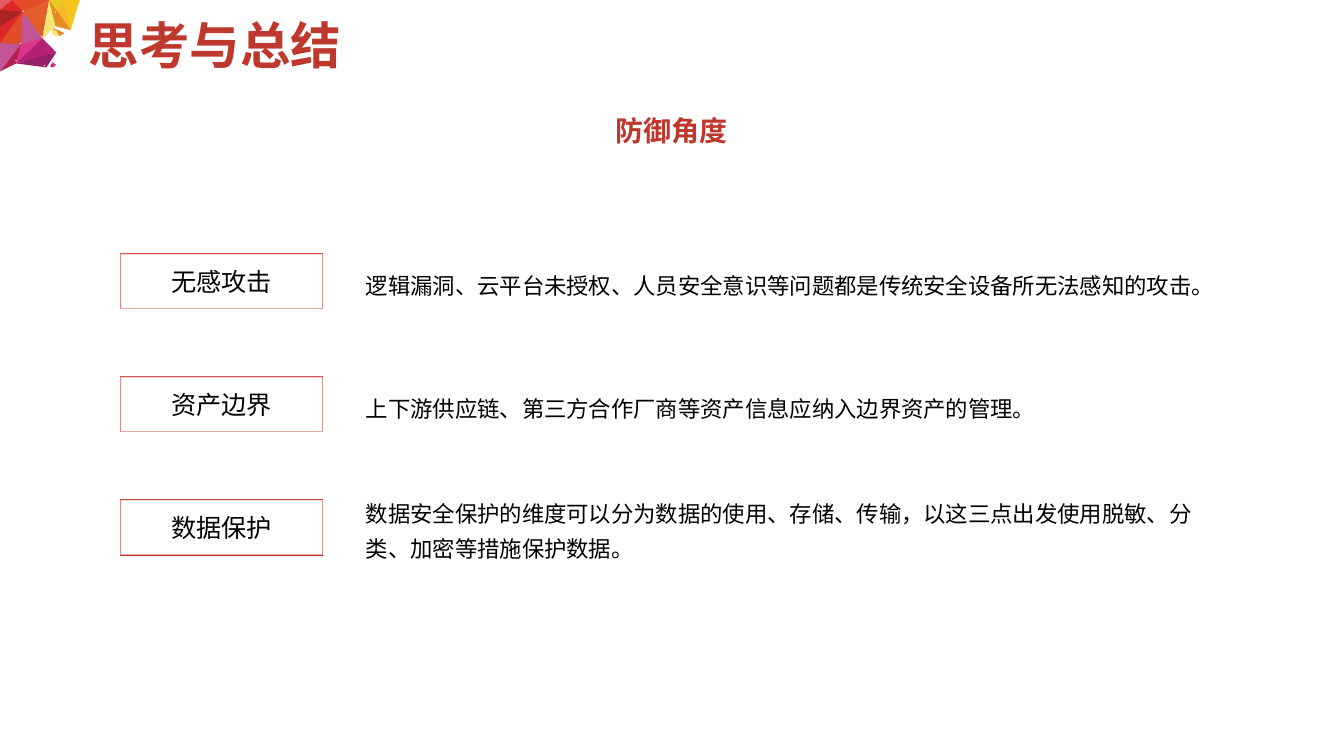
from pptx import Presentation
from pptx.dml.color import RGBColor
from pptx.enum.shapes import MSO_SHAPE as Preset
from pptx.enum.text import MSO_ANCHOR as Anchor, PP_ALIGN as Align
from pptx.oxml.ns import qn
from pptx.util import Cm, Pt
from lxml.etree import SubElement

FONT = "Noto Sans CJK SC"
RED = "BE372D"

# Corner mosaic: shared vertices in cm, then the facets that join them
VERTICES = {
    "corner": (0, 0), "top1": (0.3, 0), "top2": (1.24, 0), "top3": (1.59, 0), "top4": (2.01, 0),
    "edge1": (0, 0.25), "edge2": (0, 0.69), "edge3": (0, 1.09), "edge4": (0, 1.8),
    "hub": (0.58, 0.3), "core": (1.07, 0.97), "gold": (1.35, 0.53), "tip": (1.78, 0.76),
    "mid": (1.4, 0.66), "left": (0.53, 1.12), "low": (0.41, 1.6),
    "right": (1.42, 1.32), "bottom": (1.17, 1.7),
    "chip1": (1.63, 0.84), "chip2": (1.4, 0.74), "chip3": (1.5, 0.91), "chip4": (1.37, 0.91),
    "bit1": (1.42, 1.63), "bit2": (1.32, 1.57), "bit3": (1.35, 1.7), "bit4": (1.27, 1.68),
}
FACETS = [
    ("top2 top3 gold", "E8CB22"), ("top3 tip gold", "F8B62D"),
    ("top1 top2 hub", "E24C26"), ("top2 core hub", "E25D2A"),
    ("hub edge1 top1", "DD2729"), ("hub edge2 edge1", "AD2325"),
    ("hub edge3 edge2", "DD2729"), ("edge3 left hub", "E24C26"),
    ("core hub left", "C35495"), ("core low left", "DA3688"),
    ("core right low", "B52077"), ("right bottom low", "952268"),
    ("left edge4 low", "B62250"), ("edge3 edge4 left", "C35495"),
    ("chip1 chip2 chip3", "E58A27"), ("chip2 chip4 chip3", "F4E673"),
    ("edge1 corner top1", "E25A64"), ("core mid top2", "F4E673"),
    ("mid tip top2", "E58A27"), ("top3 top4 tip", "F4C51E"),
]
BITS = [("bit1 bit2 bit3", "DA3688"), ("bit2 bit4 bit3", "B52077")]
DOTS = [(0.39, 1.51), (0.5, 1.08), (1.03, 0.9), (0.57, 0.27), (1.38, 0.29),
        (1.23, 0.06), (1.33, 0.62), (1.36, 1.26), (1.1, 1.64)]

ROWS = [
    ("无感攻击", "逻辑漏洞、云平台未授权、人员安全意识等问题都是传统安全设备所无法感知的攻击。"),
    ("资产边界", "上下游供应链、第三方合作厂商等资产信息应纳入边界资产的管理。"),
    ("数据保护", "数据安全保护的维度可以分为数据的使用、存储、传输，以这三点出发使用脱敏、分类、加密等措施保护数据。"),
]


def color(value):
    return RGBColor.from_string(value)


def paint(shape, fill):
    """Give a shape a plain fill with no outline or shadow."""
    shape.shadow.inherit = False
    shape.fill.solid()
    shape.fill.fore_color.rgb = color(fill)
    shape.line.fill.background()


def write(shape, text, size, ink="000000", bold=False, align=Align.LEFT,
          spacing=None, anchor=Anchor.MIDDLE, wrap=True, inset=(0.25, 0.13)):
    frame = shape.text_frame
    frame.word_wrap = wrap
    frame.vertical_anchor = anchor
    frame.margin_left = frame.margin_right = Cm(inset[0])
    frame.margin_top = frame.margin_bottom = Cm(inset[1])
    para = frame.paragraphs[0]
    para.alignment = align
    if spacing:
        para.line_spacing = spacing
    span = para.add_run()
    span.text = text
    span.font.size = Pt(size)
    span.font.bold = bold
    span.font.color.rgb = color(ink)
    span.font.name = FONT
    SubElement(span.font._element, qn("a:ea"), typeface=FONT)


def text_box(page, left, top, width, height, text, size, **style):
    box = page.shapes.add_textbox(Cm(left), Cm(top), Cm(width), Cm(height))
    write(box, text, size, **style)


def facet(page, left, top, names, fill, scale=1):
    points = [(Cm(left + x * scale), Cm(top + y * scale))
              for x, y in (VERTICES[name] for name in names.split())]
    builder = page.shapes.build_freeform(*points[0])
    builder.add_line_segments(points[1:], close=True)
    paint(builder.convert_to_shape(), fill)


def corner_mosaic(page, left, top):
    for scale in (0.95, 1):
        for names, fill in FACETS:
            facet(page, left, top, names, fill, scale)
    for names, fill in BITS:
        facet(page, left, top, names, fill)
    for x, y in DOTS:
        dot = page.shapes.add_shape(Preset.OVAL, Cm(left + x), Cm(top + y), Cm(0.03), Cm(0.03))
        paint(dot, "ECECEB")


def glow_edge(shape):
    """Fill from a white centre to a thin red rim."""
    shape.shadow.inherit = False
    shape.line.fill.background()
    shape.fill.gradient()
    for stop, position, value in zip(shape.fill.gradient_stops, (0.94, 1), ("FFFFFF", RED)):
        stop.position = position
        stop.color.rgb = color(value)
    gradient = shape.element.spPr.find(qn("a:gradFill"))
    gradient.remove(gradient.find(qn("a:lin")))
    rim = SubElement(gradient, qn("a:path"), path="rect")
    SubElement(rim, qn("a:fillToRect"), l="50000", t="50000", r="50000", b="50000")


def topic_row(page, left, top, height, label, detail):
    """Place a framed label and, beside it, its explanation."""
    label_height = 1.42
    label_top = top + (height - label_height) / 2
    frame = page.shapes.add_shape(Preset.RECTANGLE, Cm(left), Cm(label_top), Cm(5.13), Cm(label_height))
    glow_edge(frame)
    write(frame, label, 18, align=Align.CENTER)
    text_box(page, left + 5.95, top, 21.49, height, detail, 16, spacing=1.3)


def topic_list(page, left, top, row_height, pitch):
    for index, (label, detail) in enumerate(ROWS):
        topic_row(page, left, top + index * pitch, row_height, label, detail)


def main():
    deck = Presentation()
    deck.slide_width, deck.slide_height = Cm(33.87), Cm(19.05)
    page = deck.slides.add_slide(deck.slide_layouts[6])
    corner_mosaic(page, 0, 0)
    text_box(page, 2.24, 0, 21.49, 1.93, "思考与总结", 36, ink="BE382D", bold=True,
             spacing=1.2, inset=(0, 0))
    text_box(page, 15.24, 2.72, 3.35, 1.12, "防御角度", 20, ink=RED, bold=True,
             align=Align.CENTER, anchor=Anchor.TOP, wrap=False)
    topic_list(page, 3.02, 6.11, row_height=1.96, pitch=3.1)
    deck.save("out.pptx")


if __name__ == "__main__":
    main()
